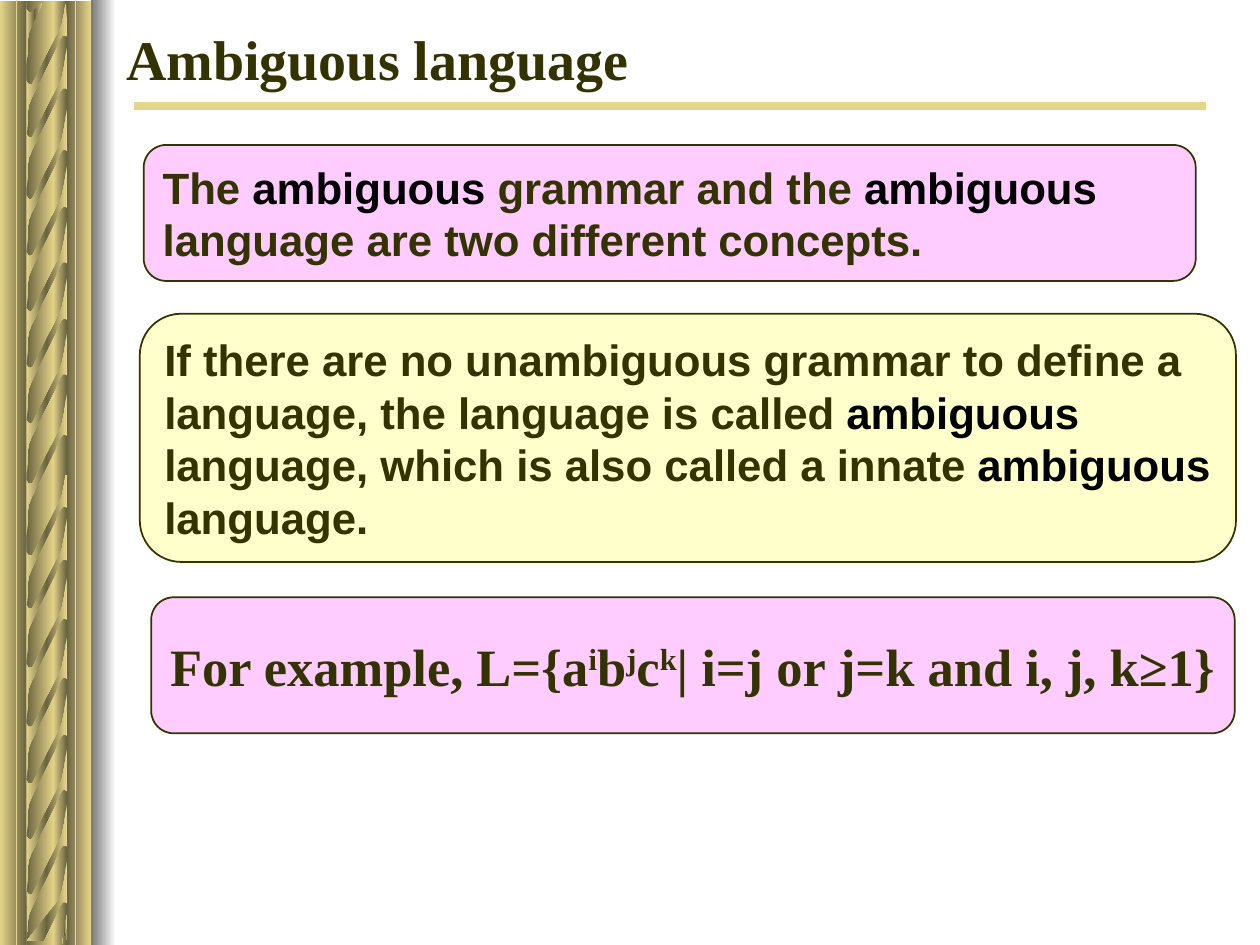
"""Build the slide on ambiguous languages with its golden braid border."""
import copy
import dataclasses

import lxml.etree
import pptx
import pptx.dml.color
import pptx.enum.shapes
import pptx.enum.text
import pptx.oxml.ns
import pptx.util

SCALE = 9144
WIDTH, HEIGHT = 1000, 750
GOLD, BRONZE, OLIVE, BLACK = "E5D58A", "6A6340", "333300", "000000"
PINK, CREAM = "FFCCFF", "FFFFCC"
SHAPES = pptx.enum.shapes.MSO_SHAPE
LEAF = [
    (53, 9), (53, 33), (52, 32), (50, 32), (49, 33), (47, 36), (43, 45),
    (34, 63), (25, 82), (23, 87), (22, 93), (22, 101), (21, 112), (21, 63),
    (21, 68), (22, 70), (23, 71), (25, 71), (26, 70), (45, 33), (49, 24),
    (50, 19), (51, 14), (52, 7), (53, 0), (53, 20),
]


@dataclasses.dataclass(frozen=True)
class Stripe:
    """A vertical band with a left-to-right gradient."""
    left: int
    width: int
    start: str
    end: str


@dataclasses.dataclass(frozen=True)
class Span:
    """A stretch of text with one look."""
    text: str
    color: str = OLIVE
    raised: bool = False


@dataclasses.dataclass(frozen=True)
class Card:
    """A rounded box with its lines of text."""
    left: int
    top: int
    width: int
    height: int
    fill: str
    font: str
    size: int
    lines: list[list[Span]]


STRIPES = [
    Stripe(42, 11, GOLD, BRONZE), Stripe(0, 21, GOLD, BRONZE),
    Stripe(21, 22, BRONZE, GOLD), Stripe(53, 19, BRONZE, GOLD),
]
EDGE_SHADE = Stripe(72, 20, "767676", "FFFFFF")
BRAID_HALVES = {
    374: [370, 412, 459, 506, 551, 595, 639, 684, 726],
    1: [-61, -4, 38, 87, 132, 176, 221, 265, 313],
}
AMBIGUOUS = Span("ambiguous", BLACK)
CARDS = [
    Card(114, 115, 835, 108, PINK, "Arial", 25, [
        [Span("The "), AMBIGUOUS, Span(" grammar and the "), AMBIGUOUS],
        [Span("language are two different concepts.")],
    ]),
    Card(111, 249, 870, 197, CREAM, "Arial", 25, [
        [Span("If there are no unambiguous grammar to define a")],
        [Span("language, the language is called "), AMBIGUOUS],
        [Span("language, which is also called a innate "), AMBIGUOUS],
        [Span("language.")],
    ]),
    Card(120, 474, 860, 108, PINK, "Times New Roman", 30, [
        [Span("For example, L={a"), Span("i", raised=True), Span("b"),
         Span("j", raised=True), Span("c"), Span("k", raised=True),
         Span("| i=j or j=k and i, j, k≥1}")],
    ]),
]


def px(length: int) -> pptx.util.Emu:
    """Turn a length in px into EMU."""
    return pptx.util.Emu(length * SCALE)


def rgb(value: str) -> pptx.dml.color.RGBColor:
    """Turn a hex string into a colour."""
    return pptx.dml.color.RGBColor.from_string(value)


def fill_gradient(shape, colors: list[str]) -> None:
    """Fill a shape from left to right with evenly spaced colours."""
    shape.shadow.inherit = False
    shape.line.fill.background()
    shape.fill.gradient()
    shape.fill.gradient_angle = 0
    stop_list = shape._element.spPr.find(".//" + pptx.oxml.ns.qn("a:gsLst"))
    for _ in colors[2:]:
        stop_list.append(copy.deepcopy(stop_list[0]))
    for index, (stop, color) in enumerate(zip(shape.fill.gradient_stops, colors)):
        stop.color.rgb = rgb(color)
        stop.position = index / (len(colors) - 1)


def add_stripe(slide, stripe: Stripe, top: int, height: int) -> None:
    """Draw one stripe of the border."""
    shape = slide.shapes.add_shape(
        SHAPES.RECTANGLE, px(stripe.left), px(top), px(stripe.width), px(height))
    fill_gradient(shape, [stripe.start, stripe.end])


def add_leaf(slide, top: int) -> None:
    """Draw one strand of the braid, kept within the slide."""
    points = [(x, top + y) for x, y in LEAF if 0 <= top + y <= HEIGHT]
    builder = slide.shapes.build_freeform(*points[0], scale=SCALE)
    builder.add_line_segments(points[1:], close=True)
    fill_gradient(builder.convert_to_shape(), [GOLD, BRONZE, GOLD])


def add_line(slide, start: tuple[int, int], end: tuple[int, int], width: float) -> None:
    """Draw a straight golden line."""
    line = slide.shapes.add_connector(
        pptx.enum.shapes.MSO_CONNECTOR.STRAIGHT, *map(px, start + end))
    line.line.color.rgb = rgb(GOLD)
    line.line.width = pptx.util.Pt(width)
    lxml.etree.SubElement(line._element.spPr, pptx.oxml.ns.qn("a:effectLst"))


def format_font(font, name: str, size: int, color: str) -> None:
    """Set a bold font."""
    font.name = name
    font.size = pptx.util.Pt(size)
    font.bold = True
    font.color.rgb = rgb(color)


def add_card(slide, card: Card) -> None:
    """Draw a rounded box and write its lines."""
    shape = slide.shapes.add_shape(
        SHAPES.ROUNDED_RECTANGLE,
        px(card.left), px(card.top), px(card.width), px(card.height))
    shape.shadow.inherit = False
    shape.fill.solid()
    shape.fill.fore_color.rgb = rgb(card.fill)
    shape.line.color.rgb = rgb(OLIVE)
    shape.line.width = pptx.util.Pt(1)
    frame = shape.text_frame
    frame.word_wrap = True
    frame.margin_left, frame.margin_right = px(10), px(0)
    frame.vertical_anchor = pptx.enum.text.MSO_ANCHOR.MIDDLE
    for index, line in enumerate(card.lines):
        paragraph = frame.add_paragraph() if index else frame.paragraphs[0]
        paragraph.alignment = pptx.enum.text.PP_ALIGN.LEFT
        for span in line:
            run = paragraph.add_run()
            run.text = span.text
            format_font(run.font, card.font, card.size, span.color)
            if span.raised:
                run._r.get_or_add_rPr().set("baseline", "30000")


def add_title(slide, text: str) -> None:
    """Place and format the title."""
    title = slide.shapes.title
    title.left, title.top, title.width, title.height = map(px, (90, 13, 769, 67))
    frame = title.text_frame
    frame.text = text
    frame.word_wrap = True
    frame.vertical_anchor = pptx.enum.text.MSO_ANCHOR.MIDDLE
    paragraph = frame.paragraphs[0]
    paragraph.alignment = pptx.enum.text.PP_ALIGN.LEFT
    format_font(paragraph.runs[0].font, "Times New Roman", 32, OLIVE)


def main() -> None:
    """Build and save the presentation."""
    presentation = pptx.Presentation()
    presentation.slide_width, presentation.slide_height = px(WIDTH), px(HEIGHT)
    slide = presentation.slides.add_slide(presentation.slide_layouts[5])
    for top, leaf_tops in BRAID_HALVES.items():
        for stripe in STRIPES:
            add_stripe(slide, stripe, top, 376)
        for leaf_top in leaf_tops:
            add_leaf(slide, leaf_top)
    add_stripe(slide, EDGE_SHADE, 0, HEIGHT)
    for x in (13, 60):
        add_line(slide, (x, 0), (x, HEIGHT), 1)
    add_line(slide, (106, 84), (957, 84), 4.5)
    add_title(slide, "Ambiguous language")
    for card in CARDS:
        add_card(slide, card)
    presentation.save("out.pptx")


if __name__ == "__main__":
    main()
